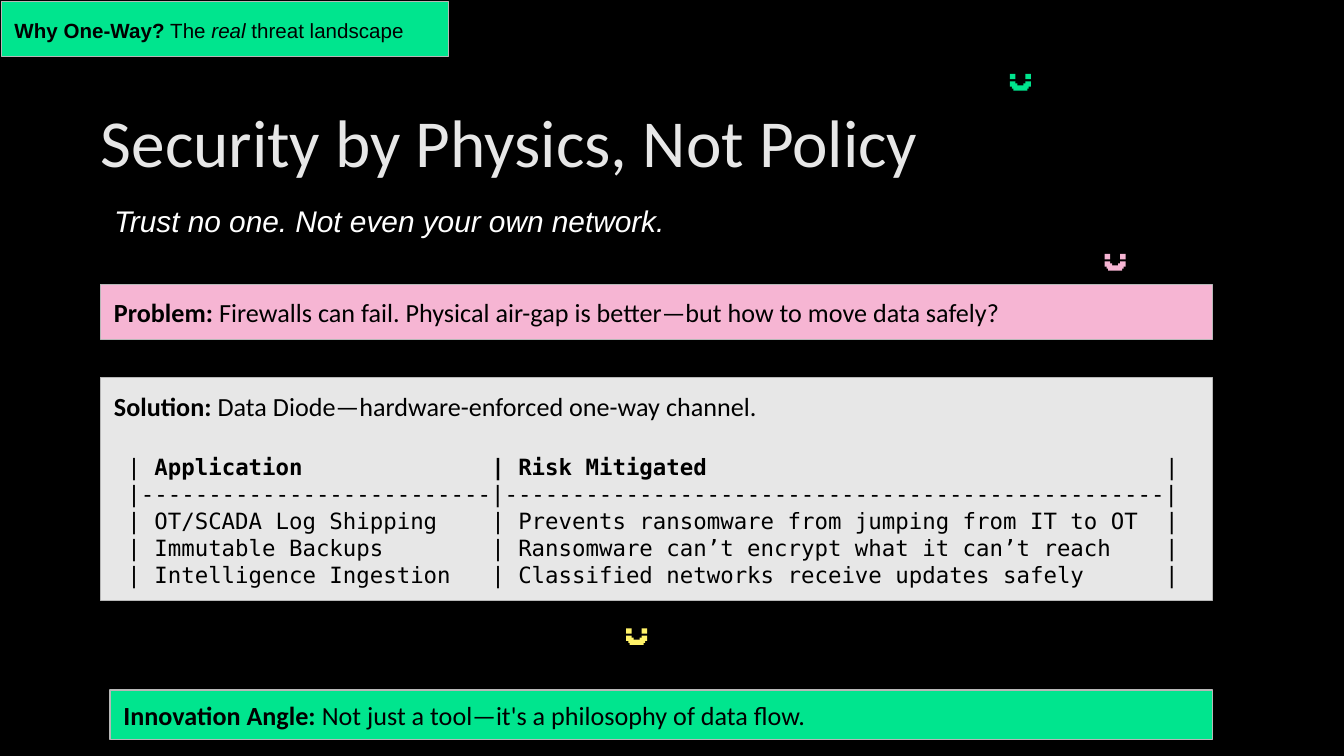
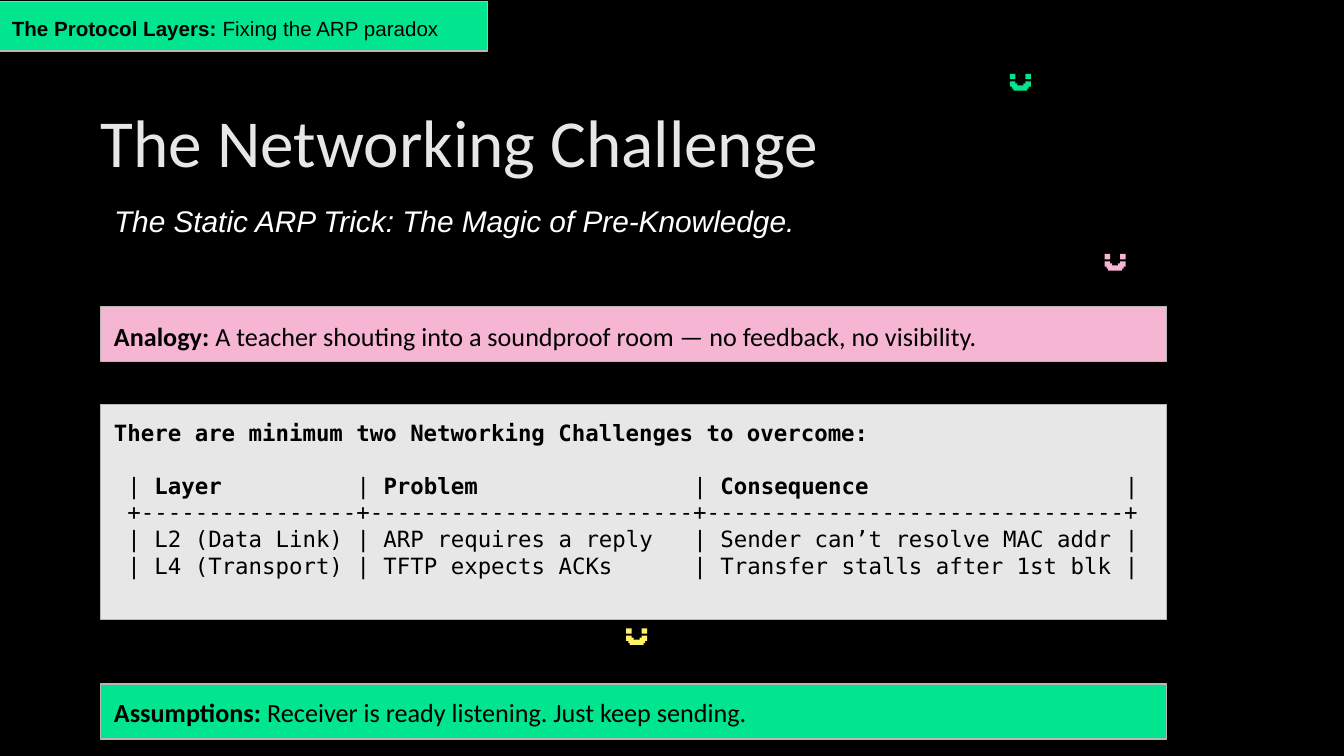
import pptx
import pptx.dml.color
import pptx.enum.shapes
import pptx.enum.text
import pptx.oxml
import pptx.oxml.ns
import pptx.util
from itertools import accumulate

EMU_PER_PX = 4572  # 200 px to the inch
MONO_CHAR_PT = 7.22  # width of one 12 pt monospaced character

COLORS = {
    "black": "000000", "white": "FFFFFF", "pale": "E7E7E7", "border": "B7B7B7",
    "green": "00E58E", "pink": "F6B5D3", "yellow": "FFF269",
}
FONTS = {
    "title": {"name": "Calibri", "size": 36, "color": "pale"},
    "subtitle": {"name": "Arial", "size": 16, "color": "white"},
    "body": {"name": "Calibri", "size": 14, "color": "black"},
    "mono": {"name": "DejaVu Sans Mono", "size": 12, "color": "black"},
    "tag": {"name": "Arial", "size": 11, "color": "black"},
}
TAG_SPACING = {"line_spacing": 1.15, "space_before": pptx.util.Pt(10),
               "space_after": pptx.util.Pt(12)}
ANALOGY_SPACING = {**TAG_SPACING, "space_before": pptx.util.Pt(12)}

# Smiley pixels: left, top, width
SMILEY_PIXELS = [(0, 0, 8), (23, 0, 8), (0, 11, 8), (3, 14, 8),
                 (5, 17, 21), (20, 14, 8), (23, 11, 8)]
SMILEYS = [("green", 1503, 110), ("pink", 1644, 378), ("yellow", 932, 935)]


def px(*lengths):
    return [pptx.util.Emu(length * EMU_PER_PX) for length in lengths]


def rgb(name):
    return pptx.dml.color.RGBColor.from_string(COLORS[name])


def assign(target, values):
    for name, value in values.items():
        setattr(target, name, value)


class Deck:
    def __init__(self):
        self.prs = pptx.Presentation()
        self.slide = None
        assign(self.prs, dict(zip(("slide_width", "slide_height"), px(2000, 1125))))
        backdrop = self.prs.slide_master.background.fill
        backdrop.solid()
        backdrop.fore_color.rgb = rgb("black")

    def start(self, title, subtitle):
        self.slide = self.prs.slides.add_slide(self.prs.slide_layouts[5])
        for color, left, top in SMILEYS:
            self.smiley(color, left, top)
        # Title
        heading = self.slide.shapes.title
        self.place(heading, 150, 172, 1700, 140)
        self.frame(heading, "TOP", inset=0)
        self.paragraph(heading, title, "title", {"line_spacing": 0.8})
        # Subtitle
        tagline = self.slide.shapes.add_textbox(*px(150, 282, 1202, 74))
        self.frame(tagline, "TOP")
        self.paragraph(tagline, f"_{subtitle}_", "subtitle")

    def place(self, shape, *box):
        assign(shape, dict(zip(("left", "top", "width", "height"), px(*box))))

    def smiley(self, color, left, top):
        face = self.slide.shapes.add_group_shape()
        for dx, dy, width in SMILEY_PIXELS:
            self.rect(face.shapes, color, left + dx, top + dy, width, 8)

    def rect(self, shapes, color, *box):
        rect = shapes.add_shape(pptx.enum.shapes.MSO_SHAPE.RECTANGLE, *px(*box))
        rect.shadow.inherit = False
        rect.fill.solid()
        rect.fill.fore_color.rgb = rgb(color)
        rect.line.fill.background()
        return rect

    def frame(self, shape, anchor, inset=20, extra_bottom=0):
        margin, bottom = px(inset, inset + extra_bottom)
        assign(shape.text_frame, {
            "word_wrap": True,
            "auto_size": pptx.enum.text.MSO_AUTO_SIZE.NONE,
            "vertical_anchor": pptx.enum.text.MSO_ANCHOR[anchor],
            "margin_left": margin, "margin_right": margin,
            "margin_top": margin, "margin_bottom": bottom,
        })

    def paragraph(self, shape, text, style, spacing=None):
        """Add a paragraph; *stars* mark bold, _underscores_ mark italic."""
        frame = shape.text_frame
        para = frame.paragraphs[0] if not frame.text else frame.add_paragraph()
        assign(para, {"alignment": pptx.enum.text.PP_ALIGN.LEFT, **(spacing or {})})
        font = FONTS[style]
        for i, piece in enumerate(text.split("*")):
            for j, part in enumerate(piece.split("_")):
                if part:
                    run = para.add_run()
                    run.text = part
                    assign(run.font, {"name": font["name"],
                                      "size": pptx.util.Pt(font["size"]),
                                      "bold": i % 2 == 1, "italic": j % 2 == 1})
                    run.font.color.rgb = rgb(font["color"])
        return para

    def panel(self, color, box, text, style="body", spacing=None, extra_bottom=0):
        panel = self.rect(self.slide.shapes, color, *box)
        panel.line.color.rgb = rgb("border")
        panel.line.width = pptx.util.Pt(0.75)
        self.frame(panel, "MIDDLE", extra_bottom=extra_bottom)
        self.paragraph(panel, text, style, spacing)
        return panel

    def text_grid(self, panel, widths, corner, rows, gap):
        """Draw rows of piped text, with tab stops at the column bars."""
        bars = list(accumulate((width + 1 for width in widths), initial=1))[1:]
        lines = [" | " + "\t| ".join(cells) + "\t|" for cells in rows]
        lines.insert(1, " " + corner + "".join("-" * w + corner for w in widths))
        for number, line in enumerate(lines):
            spacing = {} if number else {"space_before": pptx.util.Pt(gap)}
            para = self.paragraph(panel, line, "mono", spacing)
            stops = pptx.oxml.parse_xml(
                f"<a:tabLst {pptx.oxml.ns.nsdecls('a')}/>")
            for bar in bars:
                stop = stops.makeelement(pptx.oxml.ns.qn("a:tab"), {
                    "pos": str(int(pptx.util.Pt(bar * MONO_CHAR_PT))), "algn": "l"})
                stops.append(stop)
            para._p.get_or_add_pPr().append(stops)


def threat_slide(deck):
    deck.start("Security by Physics, Not Policy",
               "Trust no one. Not even your own network.")
    deck.panel("pink", (150, 423, 1654, 82),
               "*Problem: *Firewalls can fail. Physical air-gap is better—but how "
               "to move data safely?")
    solution = deck.panel("pale", (150, 562, 1654, 332),
                          "*Solution: *Data Diode—hardware-enforced one-way channel.")
    deck.text_grid(solution, [26, 49], "|", [
        ["*Application", "Risk Mitigated*"],
        ["OT/SCADA Log Shipping", "Prevents ransomware from jumping from IT to OT"],
        ["Immutable Backups", "Ransomware can’t encrypt what it can’t reach"],
        ["Intelligence Ingestion", "Classified networks receive updates safely"],
    ], gap=17)
    deck.panel("green", (164, 1027, 1640, 74),
               "*Innovation Angle: *Not just a tool—it's a philosophy of data flow.")
    deck.panel("green", (2, 2, 666, 82),
               "*Why One-Way?* The _real_ threat landscape", "tag", TAG_SPACING)


def networking_slide(deck):
    deck.start("The Networking Challenge",
               "The Static ARP Trick: The Magic of Pre-Knowledge.")
    challenges = deck.panel("pale", (150, 602, 1586, 320),
                            "*There are minimum two Networking Challenges to overcome:*",
                            "mono", extra_bottom=39)
    deck.text_grid(challenges, [16, 24, 31], "+", [
        ["*Layer*", "*Problem*", "*Consequence*"],
        ["L2 (Data Link)", "ARP requires a reply", "Sender can’t resolve MAC addr"],
        ["L4 (Transport)", "TFTP expects ACKs", "Transfer stalls after 1st blk"],
    ], gap=14)
    deck.panel("green", (150, 1018, 1586, 82),
               "*Assumptions: *Receiver is ready listening. Just keep sending.")
    deck.panel("green", (-2, 2, 728, 74),
               "*The Protocol Layers:* Fixing the ARP paradox", "tag", TAG_SPACING)
    deck.panel("pink", (150, 456, 1586, 82),
               "*Analogy: *A teacher shouting into a soundproof room — no feedback, "
               "no visibility.", spacing=ANALOGY_SPACING)


def main():
    deck = Deck()
    threat_slide(deck)
    networking_slide(deck)
    deck.prs.save("out.pptx")


if __name__ == "__main__":
    main()
